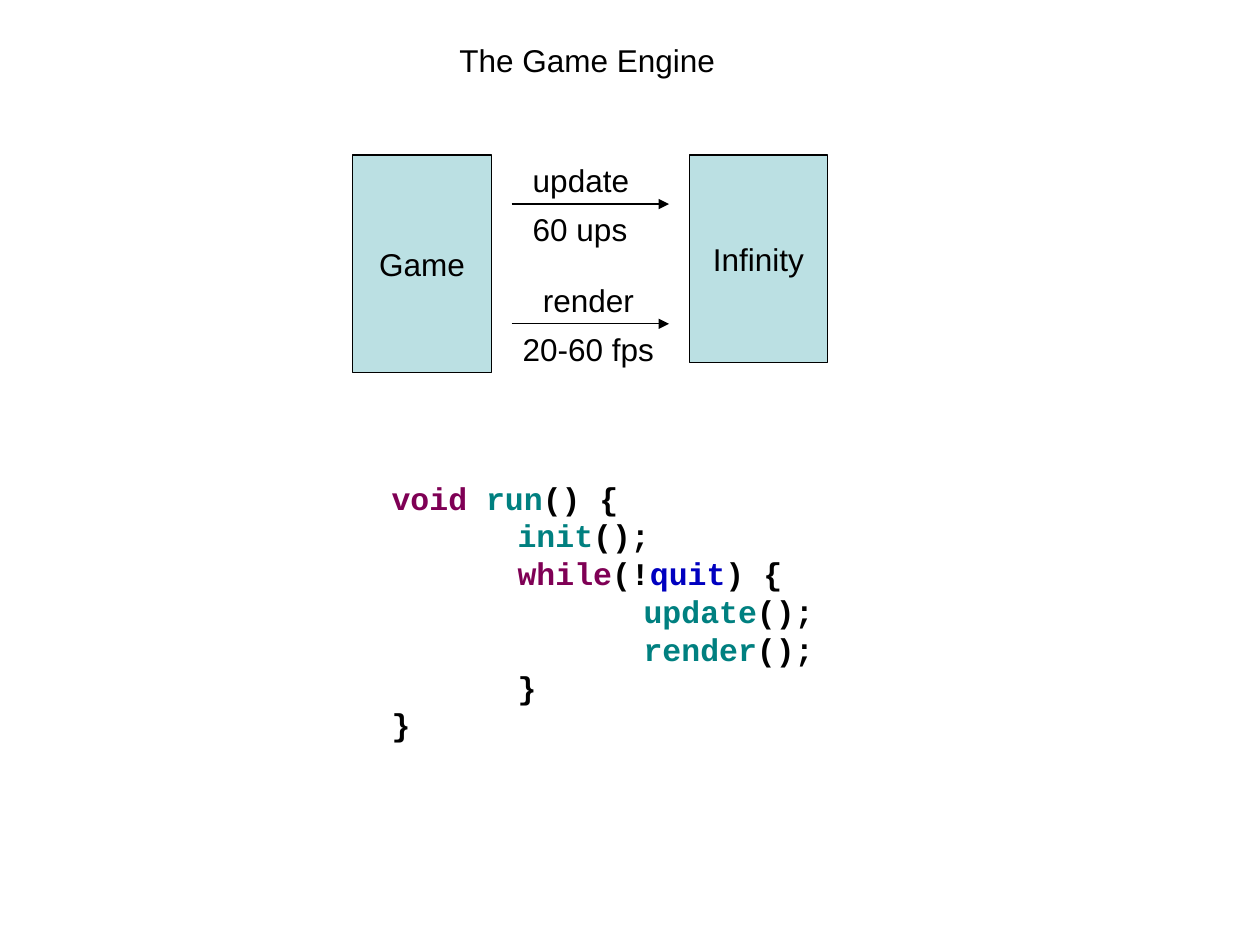
from dataclasses import dataclass
from pptx import Presentation
from pptx.dml.color import RGBColor
from pptx.enum.shapes import MSO_CONNECTOR, MSO_SHAPE
from pptx.enum.text import MSO_ANCHOR, PP_ALIGN
from pptx.oxml.ns import qn
from pptx.util import Inches, Pt
from lxml.etree import SubElement


@dataclass(frozen=True)
class Theme:
    ink: str = "000000"
    panel: str = "BBE0E3"
    keyword: str = "7F0055"
    method: str = "008080"
    field: str = "0000C0"
    body_font: str = "Arial"
    code_font: str = "Courier New"
    text_size: float = 18
    line_width: float = 0.75
    tab_width: float = 1


def write(frame, lines, *, font, size, color, bold=False, align=PP_ALIGN.LEFT, tab_width=None):
    """Fill a frame with lines, each a list of (text, colour or None) spans."""
    for index, line in enumerate(lines):
        para = frame.paragraphs[0] if index == 0 else frame.add_paragraph()
        para.alignment = align
        if tab_width:
            tabs = SubElement(para._p.get_or_add_pPr(), qn("a:tabLst"))
            for stop in range(1, 4):
                SubElement(tabs, qn("a:tab"), pos=str(Inches(stop * tab_width)), algn="l")
        for text, span_color in line:
            span = para.add_run()
            span.text = text
            span.font.name = font
            span.font.size = Pt(size)
            span.font.bold = bold
            span.font.color.rgb = RGBColor.from_string(span_color or color)


class SlideBuilder:
    def __init__(self, page, theme):
        self.page = page
        self.theme = theme

    def write_body(self, frame, text, align):
        theme = self.theme
        write(frame, [[(text, None)]], font=theme.body_font, size=theme.text_size,
              color=theme.ink, align=align)

    def text_box(self, left, top, width, height, wrap=True):
        box = self.page.shapes.add_textbox(Inches(left), Inches(top), Inches(width), Inches(height))
        box.text_frame.word_wrap = wrap
        return box.text_frame

    def label(self, text, left, top, width, align=PP_ALIGN.LEFT):
        self.write_body(self.text_box(left, top, width, 0.4), text, align)

    def panel(self, text, left, top, width, height):
        box = self.page.shapes.add_shape(
            MSO_SHAPE.RECTANGLE, Inches(left), Inches(top), Inches(width), Inches(height))
        box.shadow.inherit = False
        box.fill.solid()
        box.fill.fore_color.rgb = RGBColor.from_string(self.theme.panel)
        box.line.color.rgb = RGBColor.from_string(self.theme.ink)
        box.line.width = Pt(self.theme.line_width)
        box.text_frame.word_wrap = False
        box.text_frame.vertical_anchor = MSO_ANCHOR.MIDDLE
        self.write_body(box.text_frame, text, PP_ALIGN.CENTER)

    def arrow(self, left, right, height):
        arrow = self.page.shapes.add_connector(
            MSO_CONNECTOR.STRAIGHT, Inches(left), Inches(height), Inches(right), Inches(height))
        arrow.line.color.rgb = RGBColor.from_string(self.theme.ink)
        arrow.line.width = Pt(self.theme.line_width)
        SubElement(arrow.line._get_or_add_ln(), qn("a:tailEnd"), type="triangle")
        SubElement(arrow._element.spPr, qn("a:effectLst"))

    def code(self, lines, left, top, width, height):
        theme = self.theme
        write(self.text_box(left, top, width, height), lines, font=theme.code_font,
              size=theme.text_size, color=theme.ink, bold=True, tab_width=theme.tab_width)


def main():
    deck = Presentation()
    deck.slide_width, deck.slide_height = Inches(10), Inches(7.5)
    theme = Theme()
    builder = SlideBuilder(deck.slides.add_slide(deck.slide_layouts[6]), theme)

    builder.label("The Game Engine", 3.19, 0.28, 2.94, PP_ALIGN.CENTER)

    builder.panel("Game", 2.8, 1.23, 1.1, 1.73)
    builder.panel("Infinity", 5.47, 1.23, 1.1, 1.65)

    calls = [
        (1.62, ("update", 4.13, 1), ("60 ups", 4.13, 1)),
        (2.57, ("render", 4.21, 0.96), ("20-60 fps", 4.05, 1.3)),
    ]
    for height, (call, call_left, call_width), (rate, rate_left, rate_width) in calls:
        builder.arrow(4.06, 5.31, height)
        builder.label(call, call_left, height - 0.39, call_width)
        builder.label(rate, rate_left, height, rate_width)

    builder.code([
        [("\t", None), ("void ", theme.keyword), ("run", theme.method), ("() {", None)],
        [("\t\t", None), ("init", theme.method), ("();", None)],
        [("\t\t", None), ("while", theme.keyword), ("(!", None), ("quit", theme.field),
         (") {", None)],
        [("\t\t\t", None), ("update", theme.method), ("();", None)],
        [("\t\t\t", None), ("render", theme.method), ("();", None)],
        [("\t\t}", None)],
        [("\t}", None)],
    ], 2.01, 3.75, 5, 2.2)

    deck.save("out.pptx")


if __name__ == "__main__":
    main()
